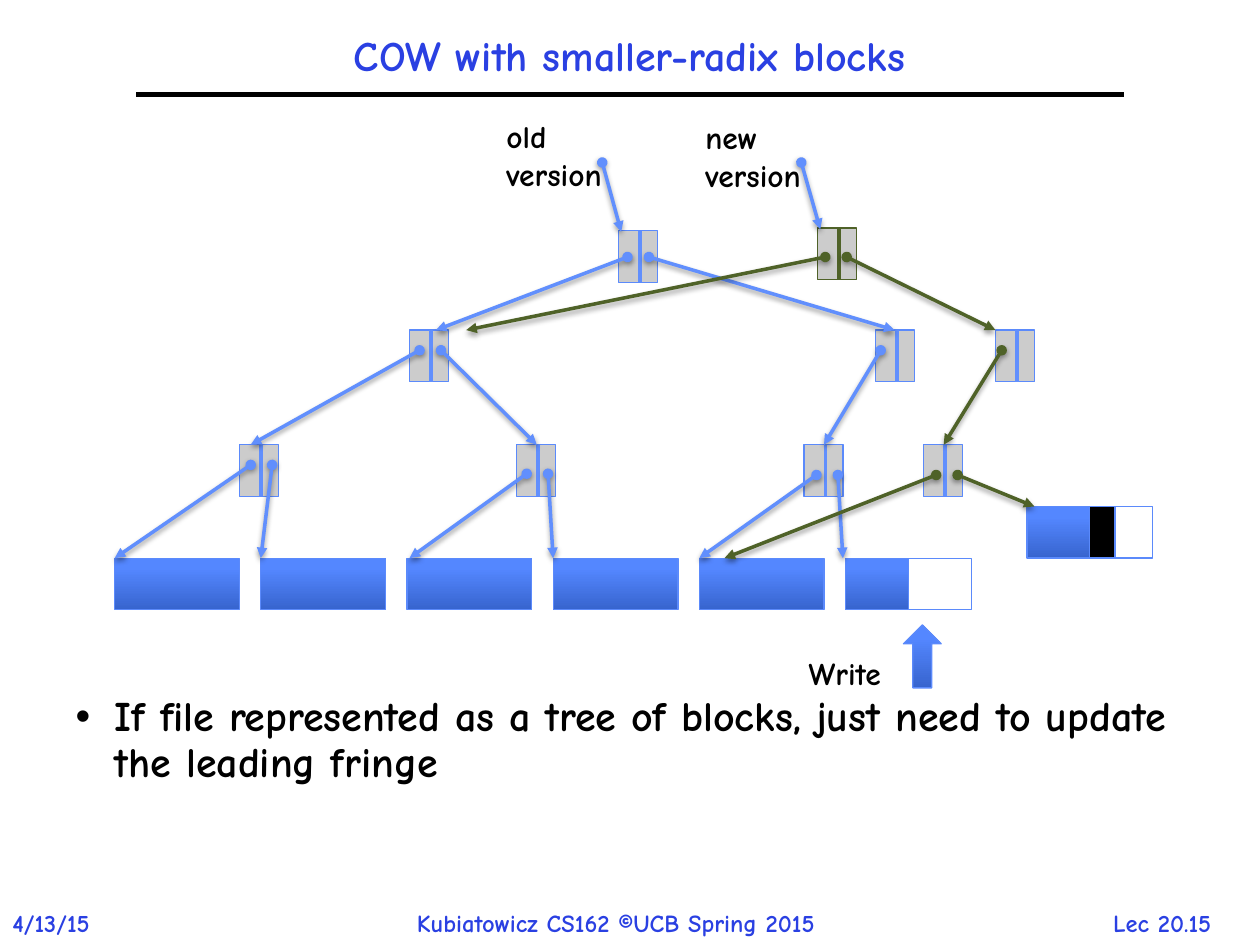
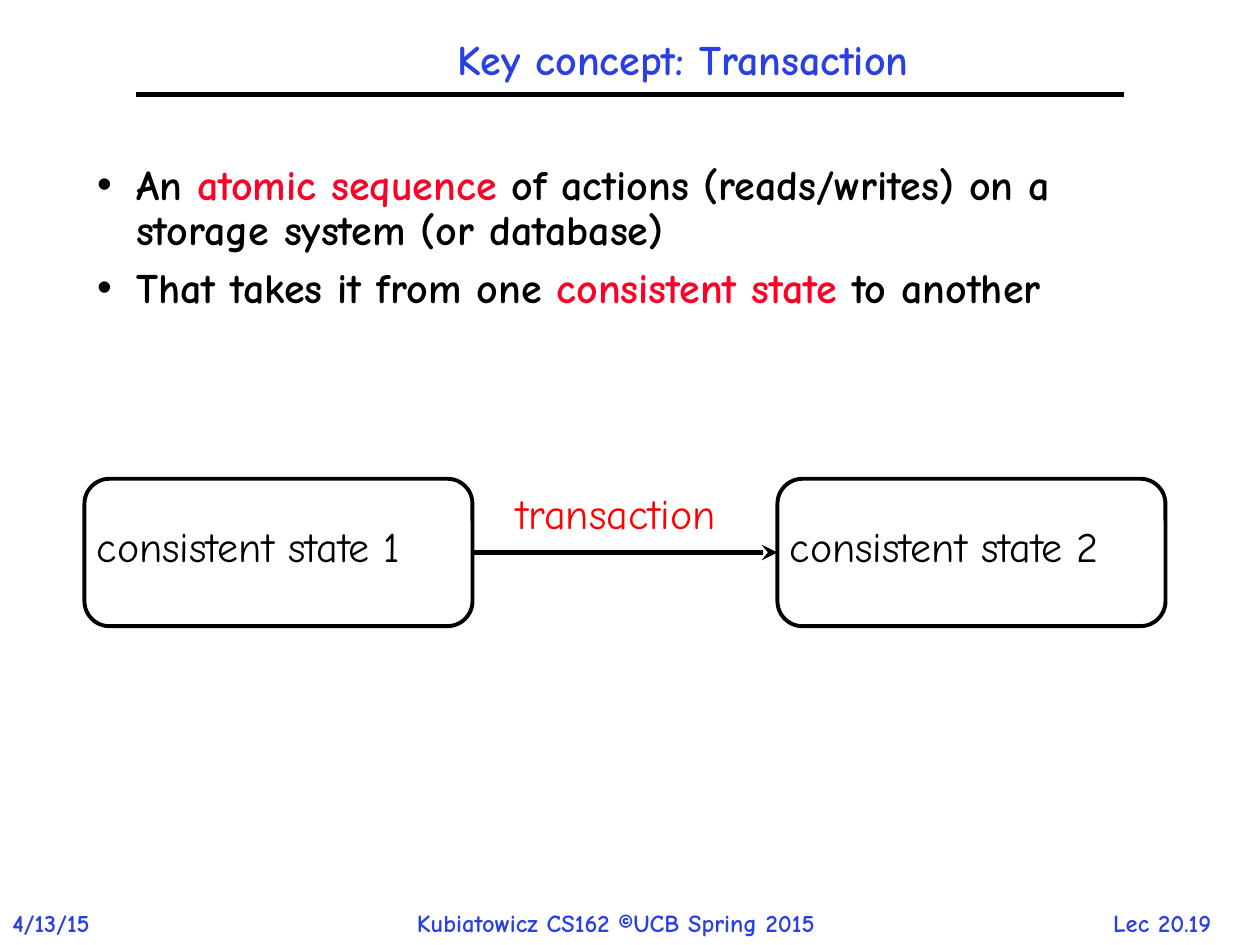
from lxml import etree
from pptx import Presentation
from pptx.dml.color import RGBColor
from pptx.enum.shapes import MSO_CONNECTOR, MSO_SHAPE
from pptx.enum.text import MSO_ANCHOR, MSO_AUTO_SIZE as AutoSize, PP_ALIGN
from pptx.oxml.ns import qn
from pptx.util import Inches, Pt

FONT = "Comic Neue"
TITLE_BLUE = RGBColor(0x2A, 0x40, 0xE2)
BLACK = RGBColor(0, 0, 0)
WHITE = RGBColor(0xFF, 0xFF, 0xFF)
KEYWORD_RED = RGBColor(0xFC, 0x01, 0x28)
LABEL_RED = RGBColor(0xFF, 0, 0)
NODE_GRAY = RGBColor(0xCC, 0xCC, 0xCC)
EDGE_BLUE = RGBColor(0x5B, 0x8A, 0xFB)
OLD_BLUE = RGBColor(0x61, 0x8F, 0xFD)
NEW_GREEN = RGBColor(0x4F, 0x62, 0x28)
BLOCK_DARK = RGBColor(0x37, 0x64, 0xCE)
BLOCK_LIGHT = RGBColor(0x54, 0x87, 0xFF)

NODE_W, NODE_H = 0.31, 0.41
BLOCK_W, BLOCK_H, BLOCK_PITCH = 0.99, 0.41, 1.16
SLOT_GAP = 0.17


# Shared helpers
def add_run(paragraph, text, size, color=BLACK, bold=True):
    run = paragraph.add_run()
    run.text = text
    font = run.font
    font.name, font.size, font.bold = FONT, Pt(size), bold
    font.color.rgb = color


def add_label(slide, text, box, size, color=BLACK, bold=True, align=PP_ALIGN.LEFT):
    label = slide.shapes.add_textbox(*map(Inches, box))
    frame = label.text_frame
    frame.word_wrap = False
    frame.auto_size = AutoSize.SHAPE_TO_FIT_TEXT
    frame.paragraphs[0].alignment = align
    add_run(frame.paragraphs[0], text, size, color, bold)
    return label


def add_box(slide, kind, box, fill=None, line=EDGE_BLUE, line_width=0.75):
    """Preset shape; fill is a colour, a (bottom, top) gradient pair or None."""
    shape = slide.shapes.add_shape(kind, *map(Inches, box))
    shape.shadow.inherit = False
    if fill is None:
        shape.fill.background()
    elif isinstance(fill, RGBColor):
        shape.fill.solid()
        shape.fill.fore_color.rgb = fill
    else:
        shape.fill.gradient()
        shape.fill.gradient_angle = 90
        for stop, color, position in zip(shape.fill.gradient_stops, fill, (0, 0.8)):
            stop.color.rgb, stop.position = color, position
    shape.line.color.rgb = line
    shape.line.width = Pt(line_width)
    return shape


def add_line(slide, start, end, color, width, head=None, tail=None, shadow=False):
    line = slide.shapes.add_connector(
        MSO_CONNECTOR.STRAIGHT, *map(Inches, (*start, *end)))
    line.line.color.rgb = color
    line.line.width = Pt(width)
    properties = line._element.spPr
    outline = properties.find(qn("a:ln"))
    for tag, ending in (("a:headEnd", head), ("a:tailEnd", tail)):
        if ending:
            etree.SubElement(outline, qn(tag), type=ending)
    effects = etree.SubElement(properties, qn("a:effectLst"))
    if shadow:
        cast = etree.SubElement(effects, qn("a:outerShdw"), blurRad=str(Pt(3.1)),
                                dist=str(Pt(1.6)), dir="5400000", rotWithShape="0")
        tint = etree.SubElement(cast, qn("a:srgbClr"), val="000000")
        etree.SubElement(tint, qn("a:alpha"), val="38000")
    return line


def place(placeholder, box):
    placeholder.left, placeholder.top, placeholder.width, placeholder.height = map(
        Inches, box)
    placeholder.text_frame.auto_size = AutoSize.NONE


def add_lecture_slide(prs, title, title_box, bullets, body_box, number):
    """Title, rule, bullets and footer; each bullet is a list of (text, colour)."""
    slide = prs.slides.add_slide(prs.slide_layouts[1])
    heading, body = slide.placeholders

    # Footer and title rule
    for text, box, align in (
            (number, (8.56, 7.16, 1.33, 0.33), PP_ALIGN.CENTER),
            ("4/13/15", (0, 7.16, 1, 0.34), PP_ALIGN.LEFT),
            ("Kubiatowicz CS162 ©UCB Spring 2015", (3.21, 7.16, 3.87, 0.34),
             PP_ALIGN.LEFT)):
        add_label(slide, text, box, 14, TITLE_BLUE, align=align)
    add_line(slide, (1.08, 0.75), (8.92, 0.75), BLACK, 3)

    # Title
    place(heading, title_box)
    heading.text_frame.vertical_anchor = MSO_ANCHOR.MIDDLE
    paragraph = heading.text_frame.paragraphs[0]
    paragraph.alignment, paragraph.line_spacing = PP_ALIGN.CENTER, 0.9
    add_run(paragraph, title, 24, TITLE_BLUE)

    # Bullets
    place(body, body_box)
    frame = body.text_frame
    for index, pieces in enumerate(bullets):
        paragraph = frame.add_paragraph() if index else frame.paragraphs[0]
        paragraph.line_spacing, paragraph.space_before = 0.9, Pt(7.2)
        indents = paragraph._p.get_or_add_pPr()
        indents.set("marL", str(Inches(0.31)))
        indents.set("indent", str(Inches(-0.31)))
        etree.SubElement(indents, qn("a:buChar"), char="•")
        for text, color in pieces:
            add_run(paragraph, text, 24, color)
    return slide


# Copy-on-write tree
def draw_tree(slide, left, top):
    gradient = (BLOCK_DARK, BLOCK_LIGHT)

    def at(x, y):
        return left + x, top + y

    # Data blocks: a row of six, and the rewritten last block
    blocks = {f"block{i}": (i * BLOCK_PITCH, 3.55) for i in range(6)}
    blocks["new block"] = (7.24, 3.14)
    for x, y in blocks.values():
        add_box(slide, MSO_SHAPE.RECTANGLE, (*at(x, y), BLOCK_W, BLOCK_H), gradient)
    for name, width, fill in (("block5", 0.5, WHITE), ("new block", 0.5, WHITE),
                              ("new block", 0.2, BLACK)):
        x, y = blocks[name]
        add_box(slide, MSO_SHAPE.RECTANGLE, (*at(x + 0.5, y), width, BLOCK_H), fill)

    # Write pointer
    add_box(slide, MSO_SHAPE.UP_ARROW, (*at(6.26, 4.08), 0.3, 0.5), gradient)
    add_label(slide, "Write", (*at(5.41, 4.26), 0.78, 0.4), 18)

    # Index nodes: x, y, then the offset of the left pointer slot
    nodes = {
        "old root": (4.0, 0.95, 0.07, 0.21),
        "new root": (5.58, 0.93, 0.06, 0.23),
        "left": (2.34, 1.74, 0.08, 0.16),
        "old right": (6.04, 1.74, 0.04, 0.16),
        "new right": (6.99, 1.74, 0.05, 0.16),
        "leaf 0": (0.99, 2.65, 0.09, 0.16),
        "leaf 1": (3.19, 2.65, 0.08, 0.23),
        "old leaf 2": (5.47, 2.65, 0.1, 0.24),
        "new leaf 2": (6.42, 2.65, 0.1, 0.24),
    }
    for name, (x, y, _, _) in nodes.items():
        is_new_root = name == "new root"
        add_box(slide, MSO_SHAPE.RECTANGLE, (*at(x, y), NODE_W, NODE_H), NODE_GRAY,
                NEW_GREEN if is_new_root else EDGE_BLUE)
        middle = x + 0.17
        add_line(slide, at(middle, y), at(middle, y + NODE_H),
                 NEW_GREEN if is_new_root else OLD_BLUE, 2)

    def add_pointer(start, end, color):
        add_line(slide, at(*start), at(*end), color, 2, "oval", "triangle", True)

    # Pointers: parent, slot, child, distance from the child's left edge
    pointers = (
        ("old root", 0, "left", 0.21), ("old root", 1, "old right", 0.15),
        ("left", 0, "leaf 0", 0.09), ("left", 1, "leaf 1", 0.16),
        ("old right", 0, "old leaf 2", 0.16),
        ("leaf 0", 0, "block0", 0), ("leaf 0", 1, "block1", 0),
        ("leaf 1", 0, "block2", 0.02), ("leaf 1", 1, "block3", 0),
        ("old leaf 2", 0, "block4", 0), ("old leaf 2", 1, "block5", -0.02),
        ("new right", 0, "new leaf 2", 0.16),
        ("new leaf 2", 0, "block4", 0.2), ("new leaf 2", 1, "new block", 0.06),
        ("new root", 0, "left", 0.45), ("new root", 1, "new right", 0),
    )
    for parent, slot, child, offset in pointers:
        x, y, slot_x, slot_y = nodes[parent]
        child_x, child_y = (nodes.get(child) or blocks[child])[:2]
        add_pointer((x + slot_x + slot * SLOT_GAP, y + slot_y),
                    (child_x + offset, child_y),
                    NEW_GREEN if parent.startswith("new") else OLD_BLUE)

    # Version labels, each pointing at its root
    for version, x, y, width in (("old", 3.01, 0, 1.33), ("new", 4.59, 0.01, 1.45)):
        label = add_label(slide, f"{version} version", (*at(x, y), width, 0.4), 18)
        frame = label.text_frame
        frame.word_wrap, frame.auto_size = True, AutoSize.NONE
        frame.margin_right = Inches(width - 0.92)
        root_x, root_y = nodes[f"{version} root"][:2]
        add_pointer((x + 0.86, 0.41), (root_x + 0.02, root_y + 0.01), OLD_BLUE)


# Two states joined by a transaction
def draw_transaction(slide, left, top):
    states = []
    for index in range(2):
        x = left + index * 5.5
        state = add_box(slide, MSO_SHAPE.ROUNDED_RECTANGLE, (x, top, 3.08, 1.17),
                        line=BLACK, line_width=2.25)
        state.adjustments[0] = 0.17
        states.append(state)
        add_label(slide, f"consistent state {index + 1}",
                  (x, top + 0.28, 3.04, 0.5), 24, bold=False)
    middle = top + 0.58
    arrow = add_line(slide, (left + 3.08, middle), (left + 5.5, middle), BLACK, 3,
                     tail="stealth")
    arrow.begin_connect(states[0], 3)
    arrow.end_connect(states[1], 1)
    add_label(slide, "transaction", (left + 3.33, top + 0.02, 1.98, 0.5), 24,
              LABEL_RED, bold=False)


def main():
    prs = Presentation()
    prs.slide_width, prs.slide_height = Inches(10), Inches(7.5)

    cow = add_lecture_slide(
        prs, "COW with smaller-radix blocks", (1.08, 0.17, 7.83, 0.58),
        [[("If file represented as a tree of blocks, just need to update "
           "the leading fringe", BLACK)]],
        (0.5, 5.47, 9, 1.43), "Lec 20.15")
    draw_tree(cow, 0.91, 0.88)

    transaction = add_lecture_slide(
        prs, "Key concept: Transaction", (1.17, 0, 8.5, 0.98),
        [[("An ", BLACK), ("atomic sequence ", KEYWORD_RED),
          ("of actions (reads/writes) on a storage system (or database)", BLACK)],
         [("That takes it from one ", BLACK), ("consistent state", KEYWORD_RED),
          (" to another", BLACK)]],
        (0.67, 1.25, 8.67, 2.25), "Lec 20.19")
    draw_transaction(transaction, 0.67, 3.8)

    prs.save("out.pptx")


if __name__ == "__main__":
    main()
